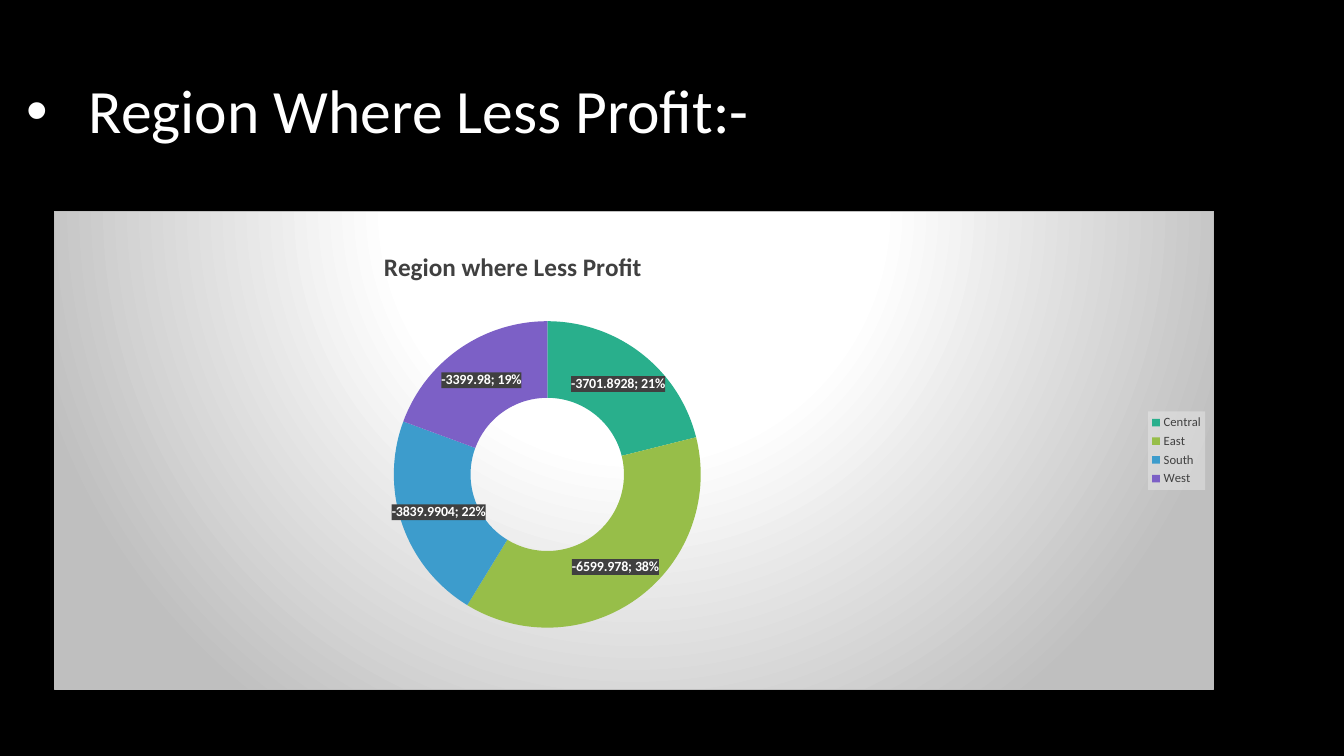
"""Build a slide with a doughnut chart of regions with less profit."""
import pptx
import pptx.chart.data
import pptx.dml.color
import pptx.enum.chart
import pptx.enum.text
import pptx.oxml
import pptx.oxml.ns
import pptx.util

HEADING = "Region Where Less Profit:-"
CHART_TITLE = "Region where Less Profit"
REGIONS = [
    ("Central", -3701.8928, "29AF8C"),
    ("East", -6599.978, "97BE49"),
    ("South", -3839.9904, "3D9CCC"),
    ("West", -3399.98, "7C60C6"),
]
GRADIENT = [(0, "FFFFFF"), (39, "FFFFFF"), (100, "BFBFBF")]
FONT = "Calibri"
HEADING_BOX = (0.16, 0.4, 12.25, 1.45)
CHART_BOX = (0.54, 2.09, 11.5, 4.76)
PLOT_LAYOUT = {"x": 0.23, "y": 0.23, "w": 0.39, "h": 0.64}
TITLE_LAYOUT = {"x": 0.28, "y": 0.07}
NAMESPACES = pptx.oxml.ns.nsdecls("a", "c")


def color(value):
    return pptx.dml.color.RGBColor.from_string(value)


def inches(box):
    return [pptx.util.Inches(length) for length in box]


def style(font, size, value, bold=False):
    font.name = FONT
    font.size = pptx.util.Pt(size)
    font.bold = bold
    font.color.rgb = color(value)


def shape_properties(content):
    return pptx.oxml.parse_xml(f"<c:spPr {NAMESPACES}>{content}</c:spPr>")


def translucent(value, percent):
    return shape_properties(
        f'<a:solidFill><a:srgbClr val="{value}"><a:alpha val="{percent * 1000}"/>'
        "</a:srgbClr></a:solidFill><a:ln><a:noFill/></a:ln>")


def manual_layout(position, inner=False):
    target = '<c:layoutTarget val="inner"/>' if inner else ""
    modes = "".join(f'<c:{key}Mode val="edge"/>' for key in "xy")
    values = "".join(f'<c:{key} val="{value}"/>' for key, value in position.items())
    return pptx.oxml.parse_xml(
        f"<c:layout {NAMESPACES}><c:manualLayout>{target}{modes}{values}"
        "</c:manualLayout></c:layout>")


def place(element, layout, index):
    for old_layout in element.xpath("c:layout"):
        element.remove(old_layout)
    element.insert(index, layout)


def add_heading(slide):
    title = slide.shapes.title
    title.left, title.top, title.width, title.height = inches(HEADING_BOX)
    frame = title.text_frame
    frame.text = HEADING
    frame.word_wrap = True
    frame.vertical_anchor = pptx.enum.text.MSO_ANCHOR.MIDDLE
    paragraph = frame.paragraphs[0]
    paragraph.alignment = pptx.enum.text.PP_ALIGN.LEFT
    paragraph.line_spacing = 0.9
    properties = paragraph._p.get_or_add_pPr()
    indent = pptx.util.Inches(0.62)
    properties.set("marL", str(indent))
    properties.set("indent", str(-indent))
    for bullet in ('<a:buFont {} typeface="Arial"/>', '<a:buChar {} char="•"/>'):
        properties.append(pptx.oxml.parse_xml(bullet.format(NAMESPACES)))
    style(paragraph.font, 44, "FFFFFF")


def add_profit_chart(slide):
    names, values, fills = zip(*REGIONS)
    data = pptx.chart.data.CategoryChartData()
    data.categories = names
    data.add_series("Series 1", values)
    chart = slide.shapes.add_chart(
        pptx.enum.chart.XL_CHART_TYPE.DOUGHNUT, *inches(CHART_BOX), data).chart
    style(chart.font, 10, "FFFFFF")

    stops = "".join(f'<a:gs pos="{stop * 1000}"><a:srgbClr val="{value}"/></a:gs>'
                    for stop, value in GRADIENT)
    background = shape_properties(
        f'<a:gradFill><a:gsLst>{stops}</a:gsLst><a:path path="circle">'
        '<a:fillToRect l="50000" t="-80000" r="50000" b="180000"/></a:path></a:gradFill>'
        '<a:ln w="9525"><a:solidFill><a:srgbClr val="BFBFBF"/></a:solidFill></a:ln>')
    chart.element.xpath("c:txPr")[0].addprevious(background)

    chart.has_title = True
    title_frame = chart.chart_title.text_frame
    title_frame.text = CHART_TITLE
    style(title_frame.paragraphs[0].font, 18, "404040", bold=True)
    place(chart.element.xpath("c:chart/c:title")[0], manual_layout(TITLE_LAYOUT), 1)
    place(chart.element.xpath("c:chart/c:plotArea")[0],
          manual_layout(PLOT_LAYOUT, inner=True), 0)

    chart.has_legend = True
    chart.legend.position = pptx.enum.chart.XL_LEGEND_POSITION.RIGHT
    chart.legend.include_in_layout = False
    style(chart.legend.font, 9, "404040")
    chart.element.xpath("c:chart/c:legend/c:txPr")[0].addprevious(translucent("F2F2F2", 39))

    plot = chart.plots[0]
    plot.vary_by_categories = True
    series = plot.series[0]
    for index, fill_color in enumerate(fills):
        fill = series.points[index].format.fill
        fill.solid()
        fill.fore_color.rgb = color(fill_color)
    labels = series.data_labels
    labels.show_value = True
    labels.show_percentage = True
    style(labels.font, 10, "FFFFFF", bold=True)
    chart.element.xpath(".//c:ser/c:dLbls/c:txPr")[0].addprevious(translucent("404040", 90))


def main():
    presentation = pptx.Presentation()
    presentation.slide_width, presentation.slide_height = inches((13.33, 7.5))
    slide = presentation.slides.add_slide(presentation.slide_layouts[5])
    slide.background.fill.solid()
    slide.background.fill.fore_color.rgb = color("000000")
    add_heading(slide)
    add_profit_chart(slide)
    presentation.save("out.pptx")


if __name__ == "__main__":
    main()
